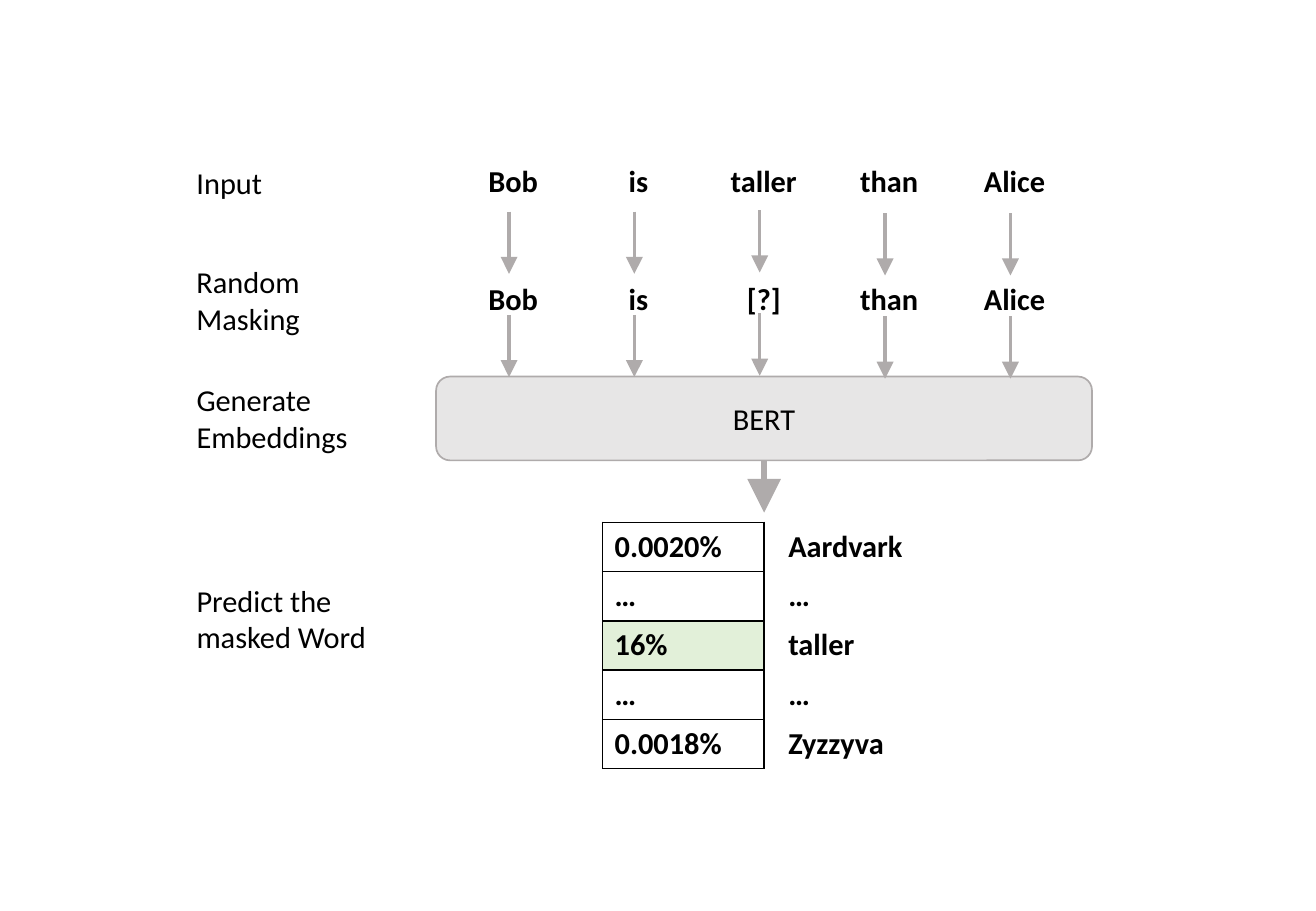
import pptx
import pptx.dml.color
import pptx.enum.shapes
import pptx.enum.text
import pptx.oxml
import pptx.oxml.ns
import pptx.util

Pt = pptx.util.Pt
ALIGN = pptx.enum.text.PP_ALIGN
BLACK, GREY, PALE_GREY, PALE_GREEN = "000000", "AFABAB", "E7E6E6", "E2F0D9"


def color(value):
    return pptx.dml.color.RGBColor.from_string(value)


def add_xml(parent, tag, **attributes):
    element = pptx.oxml.parse_xml(f"<a:{tag} {pptx.oxml.ns.nsdecls('a')}/>")
    for name, value in attributes.items():
        element.set(name, str(value))
    parent.append(element)
    return element


class DiagramSlide:
    font_name = "Calibri"
    font_size = 18

    def __init__(self, presentation):
        self.slide = presentation.slides.add_slide(presentation.slide_layouts[6])

    def set_text(self, text_frame, text, bold=False, align=ALIGN.LEFT):
        text_frame.text = text
        for paragraph in text_frame.paragraphs:
            paragraph.alignment = align
            for run in paragraph.runs:
                run.font.name = self.font_name
                run.font.size = Pt(self.font_size)
                run.font.bold = bold
                run.font.color.rgb = color(BLACK)

    def label(self, text, top, width, height):
        shape = self.slide.shapes.add_textbox(Pt(109.4), Pt(top), Pt(width), Pt(height))
        shape.text_frame.word_wrap = True
        self.set_text(shape.text_frame, text)

    def model_box(self, text, left, top, width, height):
        shape = self.slide.shapes.add_shape(
            pptx.enum.shapes.MSO_SHAPE.ROUNDED_RECTANGLE, Pt(left), Pt(top), Pt(width), Pt(height))
        shape.shadow.inherit = False
        shape.fill.solid()
        shape.fill.fore_color.rgb = color(PALE_GREY)
        shape.line.color.rgb = color(GREY)
        shape.line.width = Pt(1)
        shape.text_frame.vertical_anchor = pptx.enum.text.MSO_ANCHOR.MIDDLE
        self.set_text(shape.text_frame, text, align=ALIGN.CENTER)

    def arrow(self, x, top, length, width):
        connector = self.slide.shapes.add_connector(
            pptx.enum.shapes.MSO_CONNECTOR.STRAIGHT, Pt(x), Pt(top), Pt(x), Pt(top + length))
        connector.line.color.rgb = color(GREY)
        connector.line.width = Pt(width)
        add_xml(connector.get_or_add_ln(), "tailEnd", type="triangle", w="lg", len="lg")
        add_xml(connector._element.spPr, "effectLst")

    def border(self, cell):
        properties = cell._tc.get_or_add_tcPr()
        for position, side in enumerate(("lnL", "lnR", "lnT", "lnB")):
            line = add_xml(properties, side, w=Pt(1))
            add_xml(add_xml(line, "solidFill"), "srgbClr", val=BLACK)
            properties.insert(position, line)

    def table(self, rows, left, top, column_width, align=ALIGN.LEFT, bordered=False, highlight=None):
        row_height = 29.2
        table = self.slide.shapes.add_table(
            len(rows), len(rows[0]), Pt(left), Pt(top),
            Pt(column_width * len(rows[0])), Pt(row_height * len(rows))).table
        table.first_row = table.horz_banding = False
        for row_index, row in enumerate(rows):
            for column_index, text in enumerate(row):
                cell = table.cell(row_index, column_index)
                self.set_text(cell.text_frame, text, bold=True, align=align)
                if row_index == highlight:
                    cell.fill.solid()
                    cell.fill.fore_color.rgb = color(PALE_GREEN)
                else:
                    cell.fill.background()
                if bordered:
                    self.border(cell)


def main():
    presentation = pptx.Presentation()
    presentation.slide_width, presentation.slide_height = Pt(780), Pt(540)
    diagram = DiagramSlide(presentation)

    diagram.model_box("BERT", 258.5, 223.2, 388.8, 49.7)
    for text, top, width, height in (
        ("Input", 93.6, 100, 29),
        ("Random Masking", 152.6, 100, 51),
        ("Generate Embeddings", 222.5, 129, 51),
        ("Predict the masked Word", 341.3, 129, 51),
    ):
        diagram.label(text, top, width, height)

    token_width = 74.3
    sentence = ["Bob", "is", "taller", "than", "Alice"]
    masked = ["Bob", "is", "[?]", "than", "Alice"]
    for tokens, top in ((sentence, 93.6), (masked, 163.6)):
        diagram.table([tokens], 267, top, token_width, ALIGN.CENTER)

    words = ["Aardvark", "…", "taller", "…", "Zyzzyva"]
    chances = ["0.0020%", "…", "16%", "…", "0.0018%"]
    diagram.table([[word] for word in words], 460, 309.6, 95.8)
    diagram.table([[chance] for chance in chances], 357.1, 309.6, 95.8, bordered=True, highlight=2)

    for top in (125.4, 186.6):
        for index, shift in enumerate((0, 0, -0.8, 1, 1)):
            diagram.arrow(301.7 + index * token_width, top + shift, 36.9, 2)
    diagram.arrow(452.9, 272.9, 31, 4)

    presentation.save("out.pptx")


if __name__ == "__main__":
    main()
